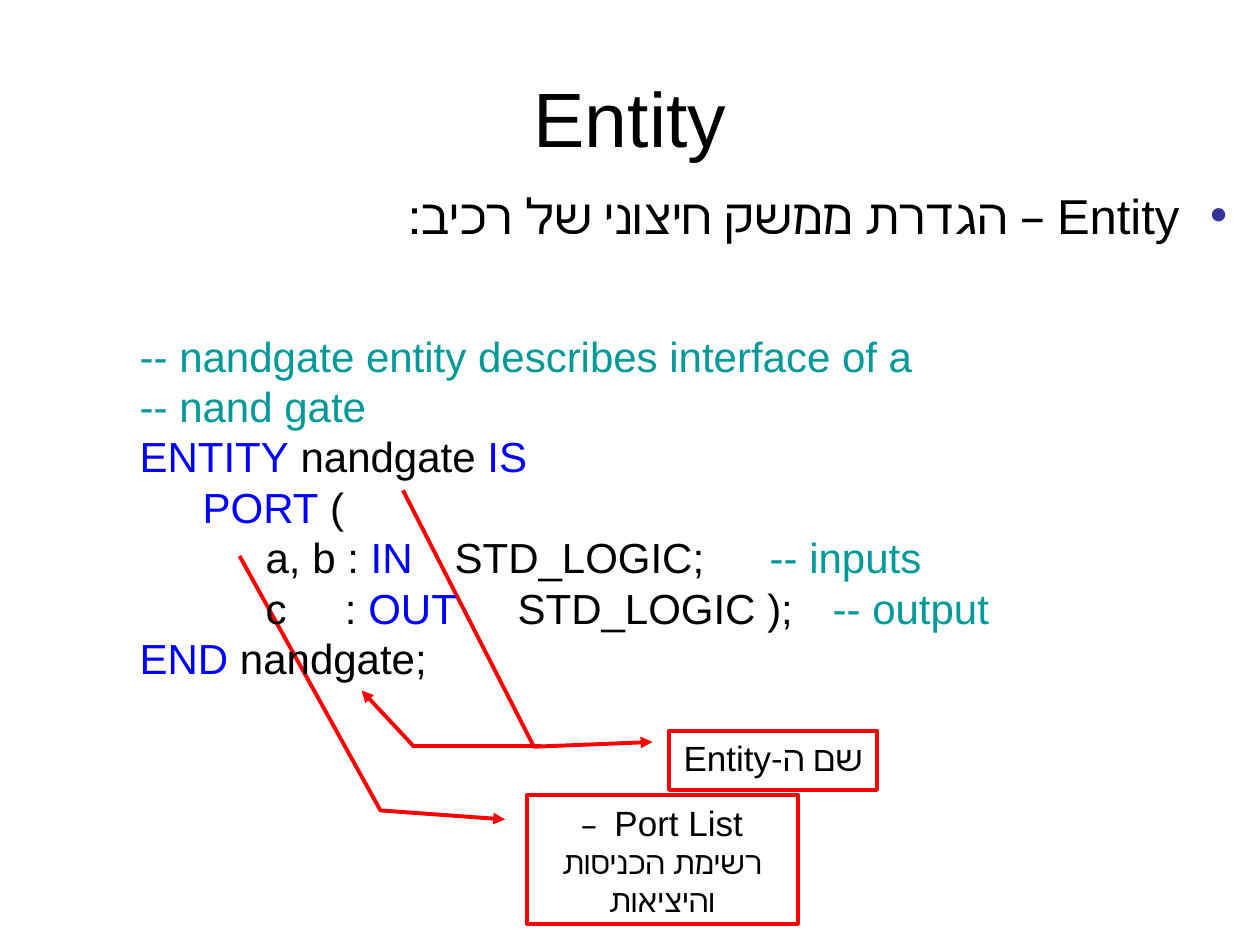
from lxml import etree
from pptx import Presentation
from pptx import util as u
from pptx.dml.color import RGBColor
from pptx.enum import shapes, text
from pptx.oxml import ns

BLACK, RED, TEAL, BLUE = "000000", "FF0000", "009999", "0000FF"
WHITE, BULLET = "FFFFFF", "333399"

TITLE = "Entity"
BODY = "Entity – הגדרת ממשק חיצוני של רכיב:"
CODE = [
    [("-- nandgate entity describes interface of a", TEAL)],
    [("-- nand gate", TEAL)],
    [("ENTITY", BLUE), (" nandgate ", BLACK), ("IS", BLUE)],
    [("\t", BLACK), ("PORT", BLUE), (" (", BLACK)],
    [("\t\ta, b : ", BLACK), ("IN\t", BLUE), ("STD_LOGIC;\t\t", BLACK), ("-- inputs", TEAL)],
    [("\t\tc     : ", BLACK), ("OUT\t", BLUE), ("STD_LOGIC );\t", BLACK), ("-- output", TEAL)],
    [("END", BLUE), (" nandgate;", BLACK)],
]
CALLOUTS = [
    ((5.31, 5.8, 1.65, 0.47), (0.19, -0.08, 0.27, -0.65, -4.06, -1.28),
     [("שם ה-Entity", 20)]),
    ((4.18, 6.31, 2.15, 1.02), (0.19, -0.08, 0.12, -0.54, -1.86, -1.06),
     [("Port List  ", 20), ("– רשימת הכניסות והיציאות", 18)]),
]
NAME_LINES = [((4.29, 5.92), (3.27, 5.92), False), ((3.28, 5.92), (2.87, 5.48), True)]


def color(value):
    return RGBColor.from_string(value)


def add_child(parent, tag, **attributes):
    return etree.SubElement(parent, ns.qn(tag), **attributes)


def place(box, area):
    box.left, box.top, box.width, box.height = map(u.Inches, area)


def add_span(para, words, size, tint=BLACK):
    span = para.add_run()
    span.text = words
    span.font.size = u.Pt(size)
    span.font.name = "Arial"
    span.font.color.rgb = color(tint)


def set_rtl(para, alignment):
    para.alignment = alignment
    properties = para._p.get_or_add_pPr()
    properties.set("rtl", "1")
    return properties


def style_line(line, arrow_end=None):
    line.color.rgb = color(RED)
    line.width = u.Pt(2.25)
    if arrow_end:
        add_child(line._get_or_add_ln(), arrow_end, type="triangle")


def add_callout(slide, area, adjustments, spans):
    box = slide.shapes.add_shape(shapes.MSO_SHAPE.LINE_CALLOUT_2, *map(u.Inches, area))
    for index, value in enumerate(adjustments):
        box.adjustments[index] = value
    box.shadow.inherit = False
    box.fill.solid()
    box.fill.fore_color.rgb = color(WHITE)
    style_line(box.line, "a:headEnd")
    frame = box.text_frame
    frame.word_wrap = True
    frame.vertical_anchor = text.MSO_ANCHOR.TOP
    para = frame.paragraphs[0]
    set_rtl(para, text.PP_ALIGN.CENTER)
    for words, size in spans:
        add_span(para, words, size)


def add_line(slide, start, end, arrow):
    line = slide.shapes.add_connector(
        shapes.MSO_CONNECTOR.STRAIGHT, *map(u.Inches, start + end))
    style_line(line.line, "a:tailEnd" if arrow else None)
    add_child(line._element.spPr, "a:effectLst")


def add_code(slide):
    box = slide.shapes.add_textbox(*map(u.Inches, (0.51, 2.57, 9.21, 3.51)))
    frame = box.text_frame
    frame.word_wrap = True
    for index, spans in enumerate(CODE):
        para = frame.add_paragraph() if index else frame.paragraphs[0]
        para._p.get_or_add_pPr().set("marL", str(u.Inches(0.5)))
        for words, tint in spans:
            add_span(para, words, 24, tint)


def main():
    deck = Presentation()
    deck.slide_width, deck.slide_height = u.Inches(10), u.Inches(7.5)
    slide = deck.slides.add_slide(deck.slide_layouts[1])

    title, body = slide.placeholders
    place(title, (0.5, 0.3, 9, 1.25))
    title.text_frame.vertical_anchor = text.MSO_ANCHOR.MIDDLE
    para = title.text_frame.paragraphs[0]
    set_rtl(para, text.PP_ALIGN.CENTER)
    add_span(para, TITLE, 44)

    place(body, (0.17, 1.42, 9.67, 1.07))
    para = body.text_frame.paragraphs[0]
    para.space_before = u.Pt(7)
    properties = set_rtl(para, text.PP_ALIGN.RIGHT)
    properties.set("marL", str(u.Inches(0.38)))
    properties.set("indent", str(u.Inches(-0.38)))
    add_child(add_child(properties, "a:buClr"), "a:srgbClr", val=BULLET)
    add_child(properties, "a:buChar", char="•")
    add_span(para, BODY, 28)

    for callout in CALLOUTS:
        add_callout(slide, *callout)
    for line in NAME_LINES:
        add_line(slide, *line)
    add_code(slide)
    deck.save("out.pptx")


if __name__ == "__main__":
    main()
